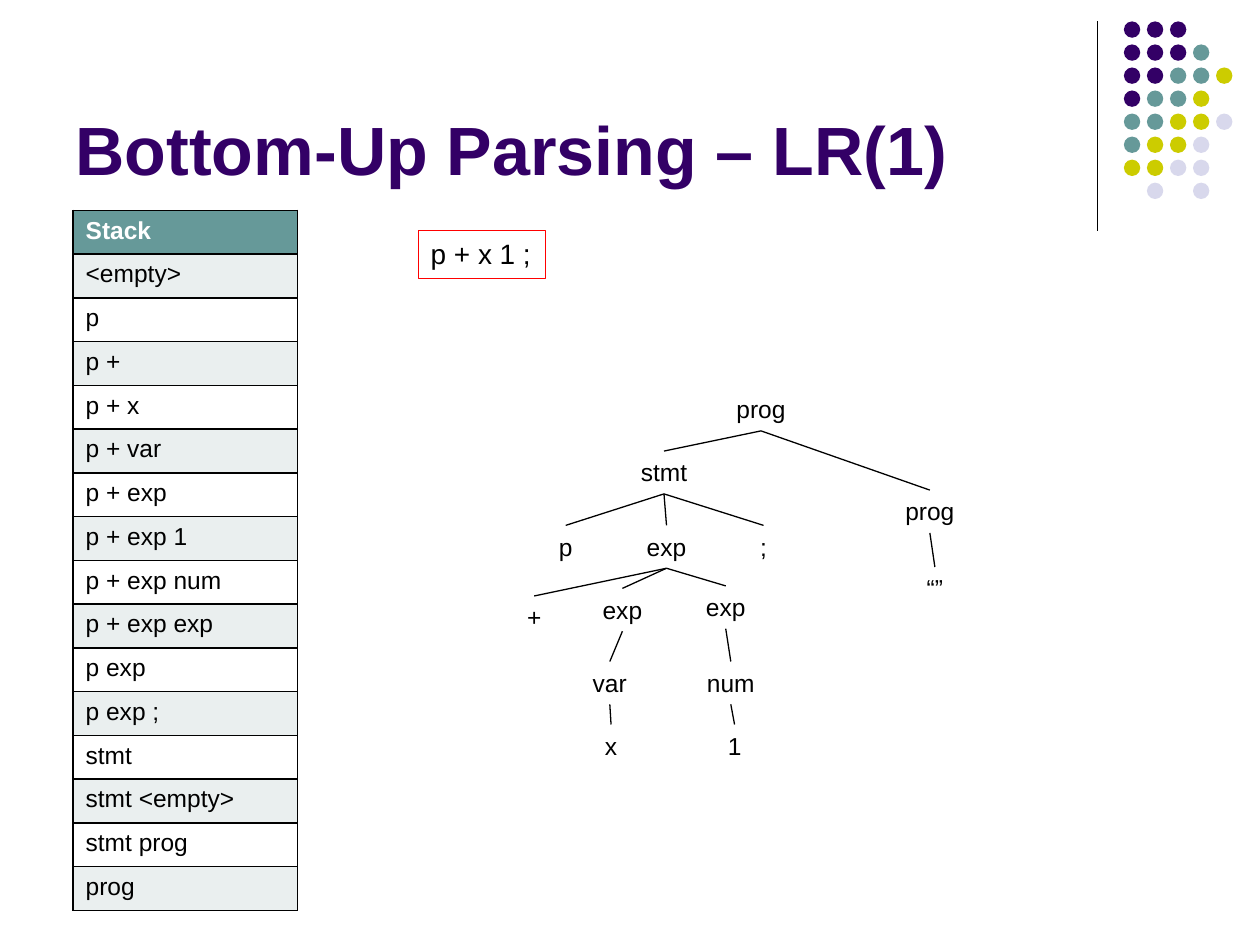
from dataclasses import dataclass

from lxml.etree import SubElement
from pptx import Presentation
from pptx.dml.color import RGBColor
from pptx.enum.shapes import MSO_CONNECTOR, MSO_SHAPE
from pptx.enum.text import MSO_ANCHOR, MSO_AUTO_SIZE, PP_ALIGN
from pptx.oxml.ns import qn
from pptx.util import Inches, Pt


@dataclass(frozen=True)
class Theme:
    font: str = "Arial"
    title_size: int = 39
    input_size: int = 16
    body_size: int = 14
    line_width: float = 0.75
    purple: str = "330066"
    teal: str = "669999"
    olive: str = "CCCC00"
    lilac: str = "D8D8EC"
    band: str = "EAEFEF"
    white: str = "FFFFFF"
    black: str = "000000"
    red: str = "FF0000"


THEME = Theme()

DOT_ROWS = ["PPP", "PPPT", "PPTTO", "PTTO", "TTOOL", "TOOL", "OOLL", " L L"]
DOT_COLORS = {"P": THEME.purple, "T": THEME.teal, "O": THEME.olive, "L": THEME.lilac}
DOT_LEFT, DOT_TOP, DOT_SIZE = 8.92, 0.17, 0.13
DOT_PITCH = 1.28 / (len(DOT_ROWS) - 1)

STACK = ["Stack", "<empty>", "p", "p +", "p + x", "p + var", "p + exp", "p + exp 1",
         "p + exp num", "p + exp exp", "p exp", "p exp ;", "stmt", "stmt <empty>",
         "stmt prog", "prog"]

# Each node: label, centre, top, width, children
PARSE_TREE = ("prog", 6.04, 3.08, 0.59, [
    ("stmt", 5.27, 3.58, 0.58, [
        ("p", 4.49, 4.17, 0.31, []),
        ("exp", 5.29, 4.17, 0.52, [
            ("+", 4.24, 4.73, 0.32, []),
            ("exp", 4.94, 4.67, 0.52, [
                ("var", 4.84, 5.25, 0.5, [("x", 4.85, 5.75, 0.3, [])])]),
            ("exp", 5.76, 4.65, 0.52, [
                ("num", 5.8, 5.25, 0.58, [("1", 5.83, 5.75, 0.31, [])])]),
        ]),
        (";", 6.06, 4.17, 0.26, []),
    ]),
    ("prog", 7.38, 3.89, 0.59, [("“”", 7.42, 4.5, 0.34, [])]),
])
NODE_HEIGHT = 0.34


def rgb(color):
    return RGBColor.from_string(color)


def write(tf, text, size, color=THEME.black, bold=False, align=PP_ALIGN.LEFT):
    tf.text = text
    p = tf.paragraphs[0]
    p.alignment = align
    font = p.runs[0].font
    font.name, font.size, font.bold = THEME.font, Pt(size), bold
    font.color.rgb = rgb(color)


def add_line(s, x1, y1, x2, y2):
    line = s.shapes.add_connector(MSO_CONNECTOR.STRAIGHT, *map(Inches, (x1, y1, x2, y2)))
    line.line.color.rgb = rgb(THEME.black)
    line.line.width = Pt(THEME.line_width)
    SubElement(line._element.spPr, qn("a:effectLst"))
    return line


def add_dots(s):
    group = s.shapes.add_group_shape()
    for row, codes in enumerate(DOT_ROWS):
        for col, code in enumerate(codes):
            if code == " ":
                continue
            dot = group.shapes.add_shape(
                MSO_SHAPE.OVAL, Inches(DOT_LEFT + col * DOT_PITCH),
                Inches(DOT_TOP + row * DOT_PITCH), Inches(DOT_SIZE), Inches(DOT_SIZE))
            dot.shadow.inherit = False
            dot.fill.solid()
            dot.fill.fore_color.rgb = rgb(DOT_COLORS[code])
            dot.line.fill.background()


def set_title(s, text):
    title = s.shapes.title
    title.left, title.top, title.width, title.height = map(Inches, (0.5, 0.13, 8.25, 1.42))
    tf = title.text_frame
    tf.auto_size = MSO_AUTO_SIZE.NONE
    tf.vertical_anchor = MSO_ANCHOR.BOTTOM
    write(tf, text, THEME.title_size, THEME.purple, bold=True)


def add_input_box(s, text):
    sp = s.shapes.add_shape(MSO_SHAPE.RECTANGLE, *map(Inches, (3.32, 1.83, 1.01, 0.38)))
    sp.shadow.inherit = False
    sp.fill.background()
    sp.line.color.rgb = rgb(THEME.red)
    sp.line.width = Pt(THEME.line_width)
    tf = sp.text_frame
    tf.word_wrap = False
    tf.vertical_anchor = MSO_ANCHOR.TOP
    write(tf, text, THEME.input_size)


def add_borders(cell):
    """Rule all four sides; borders must precede the fill in the cell's XML."""
    tc_pr = cell._tc.get_or_add_tcPr()
    for i, side in enumerate(("a:lnL", "a:lnR", "a:lnT", "a:lnB")):
        ln = SubElement(tc_pr, qn(side), w=str(Pt(1)))
        SubElement(SubElement(ln, qn("a:solidFill")), qn("a:srgbClr"), val=THEME.black)
        tc_pr.insert(i, ln)


def add_stack_table(s, rows):
    frame = s.shapes.add_table(len(rows), 1, *map(Inches, (0.58, 1.67, 1.78, 5.56)))
    for i, text in enumerate(rows):
        header = i == 0
        cell = frame.table.cell(i, 0)
        write(cell.text_frame, text, THEME.body_size,
              THEME.white if header else THEME.black, bold=header)
        cell.fill.solid()
        fill = THEME.teal if header else THEME.band if i % 2 else THEME.white
        cell.fill.fore_color.rgb = rgb(fill)
        add_borders(cell)


def add_tree(s, node):
    """Draw a node and its subtree, and return the node's text box."""
    label, center, top, width, children = node
    box = s.shapes.add_textbox(*map(Inches, (center - width / 2, top, width, NODE_HEIGHT)))
    box.text_frame.word_wrap = False
    write(box.text_frame, label, THEME.body_size, align=PP_ALIGN.CENTER)
    for child in children:
        child_box = add_tree(s, child)
        edge = add_line(s, center, top + NODE_HEIGHT, child[1], child[2])
        edge.begin_connect(box, 2)
        edge.end_connect(child_box, 0)
    return box


def main():
    prs = Presentation()
    prs.slide_width, prs.slide_height = Inches(10), Inches(7.5)
    s = prs.slides.add_slide(prs.slide_layouts[5])
    add_line(s, 8.71, 0.17, 8.71, 1.83)
    add_dots(s)
    set_title(s, "Bottom-Up Parsing – LR(1)")
    add_input_box(s, "p + x 1 ;")
    add_stack_table(s, STACK)
    add_tree(s, PARSE_TREE)
    prs.save("out.pptx")


if __name__ == "__main__":
    main()
